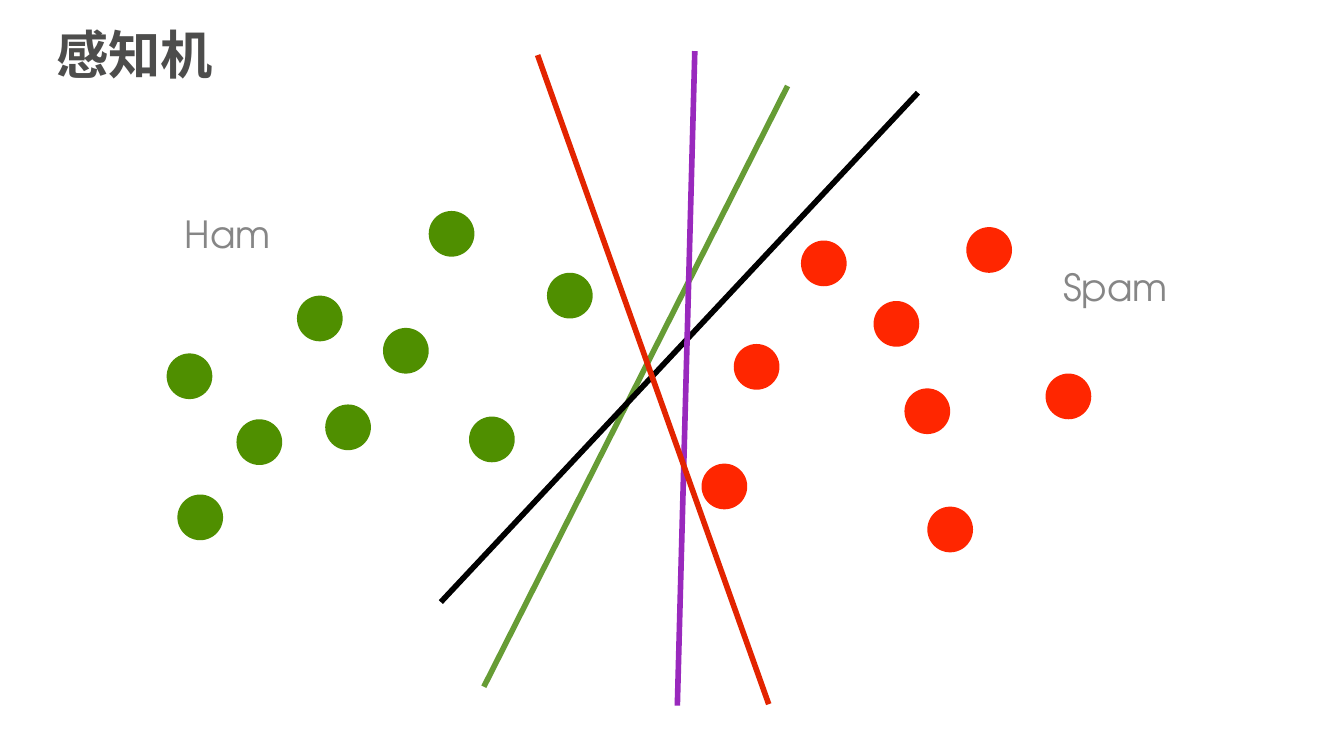
from lxml.etree import SubElement
from pptx import Presentation
from pptx.dml.color import RGBColor
from pptx.enum.shapes import MSO_CONNECTOR, MSO_SHAPE
from pptx.enum.text import MSO_ANCHOR, PP_ALIGN
from pptx.oxml.ns import qn
from pptx.util import Inches, Pt

HAM = [(2.21, 2.2), (1.24, 2.63), (3.19, 1.57), (2.85, 2.44), (2.42, 3.01),
       (1.76, 3.12), (1.32, 3.68), (3.49, 3.1), (4.07, 2.03)]
SPAM = [(5.96, 1.79), (6.5, 2.24), (5.46, 2.56), (5.22, 3.45),
        (7.19, 1.69), (6.73, 2.89), (7.78, 2.78), (6.9, 3.77)]
LINES = [((5.86, 0.64), (3.6, 5.11), "669C35"),
         ((6.83, 0.69), (3.28, 4.48), "000000"),
         ((5.17, 0.38), (5.04, 5.25), "9929BD"),
         ((4, 0.41), (5.72, 5.24), "E32400")]


def color(code):
    """Turn a hex string into a colour."""
    return RGBColor.from_string(code)


def write(frame, text, size=20, font="TeX Gyre Adventor", ink="868686", bold=False,
          align=PP_ALIGN.CENTER, inset=0.03, wrap=False, space=1.0):
    """Put formatted text into a text frame."""
    frame.word_wrap = wrap
    frame.vertical_anchor = MSO_ANCHOR.MIDDLE
    frame.margin_left = frame.margin_right = Inches(inset)
    frame.margin_top = frame.margin_bottom = Inches(inset)
    para = frame.paragraphs[0]
    para.alignment = align
    para.line_spacing = space
    run = para.add_run()
    run.text = text
    run.font.size = Pt(size)
    run.font.name = font
    run.font.bold = bold
    run.font.color.rgb = color(ink)


class Deck:
    """Hold the style and the current slide."""

    dot_size = 0.34
    line_width = 3

    def __init__(self, slide):
        """Keep the slide to draw on."""
        self.slide = slide
        self.shapes = slide.shapes

    def title(self, text, left, top, width, height):
        """Place and fill the title."""
        box = self.shapes.title
        box.left, box.top = Inches(left), Inches(top)
        box.width, box.height = Inches(width), Inches(height)
        write(box.text_frame, text, size=28, font="Arial", ink="4D4D4C", bold=True,
              align=PP_ALIGN.LEFT, inset=0.05, wrap=True, space=0.9)

    def dot(self, left, top, fill):
        """Draw one sample as a plain disc."""
        size = Inches(self.dot_size)
        disc = self.shapes.add_shape(MSO_SHAPE.OVAL, Inches(left), Inches(top), size, size)
        disc.shadow.inherit = False
        disc.fill.solid()
        disc.fill.fore_color.rgb = color(fill)
        disc.line.fill.background()

    def label(self, text, left, top, width, height):
        """Name a group of samples."""
        box = self.shapes.add_textbox(Inches(left), Inches(top), Inches(width), Inches(height))
        write(box.text_frame, text)

    def line(self, start, end, ink):
        """Draw one straight border between the groups."""
        ends = [Inches(value) for value in (*start, *end)]
        border = self.shapes.add_connector(MSO_CONNECTOR.STRAIGHT, *ends)
        border.line.width = Pt(self.line_width)
        border.line.color.rgb = color(ink)
        SubElement(border._element.spPr, qn("a:effectLst"))


def main():
    """Build and save the slide."""
    show = Presentation()
    show.slide_width = Inches(10)
    show.slide_height = Inches(10 * 9 / 16)
    deck = Deck(show.slides.add_slide(show.slide_layouts[5]))
    deck.title("感知机", 0.37, 0.13, 8.97, 0.6)
    for group, fill in ((HAM, "4F8F00"), (SPAM, "FF2600")):
        for left, top in group:
            deck.dot(left, top, fill)
    deck.label("Spam", 7.84, 1.88, 0.92, 0.5)
    deck.label("Ham", 1.31, 1.49, 0.77, 0.5)
    for start, end, ink in LINES:
        deck.line(start, end, ink)
    show.save("out.pptx")


if __name__ == "__main__":
    main()
